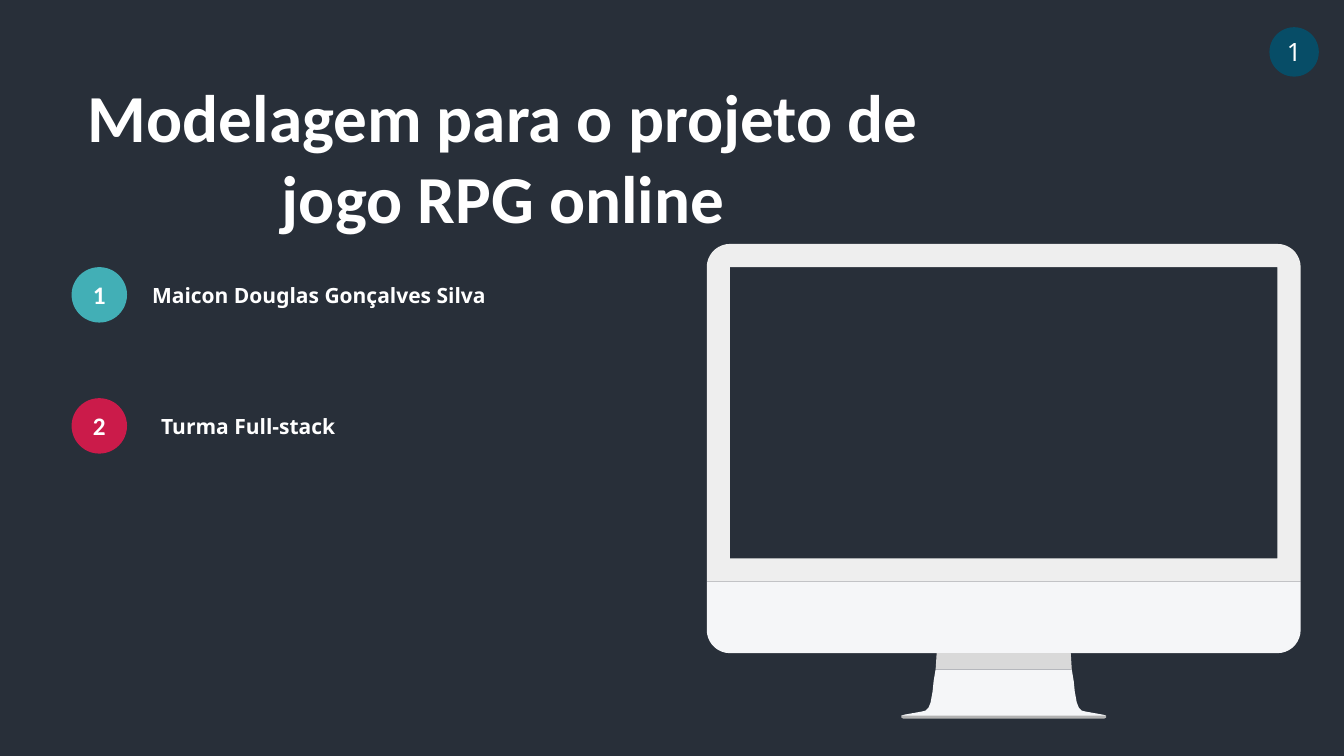
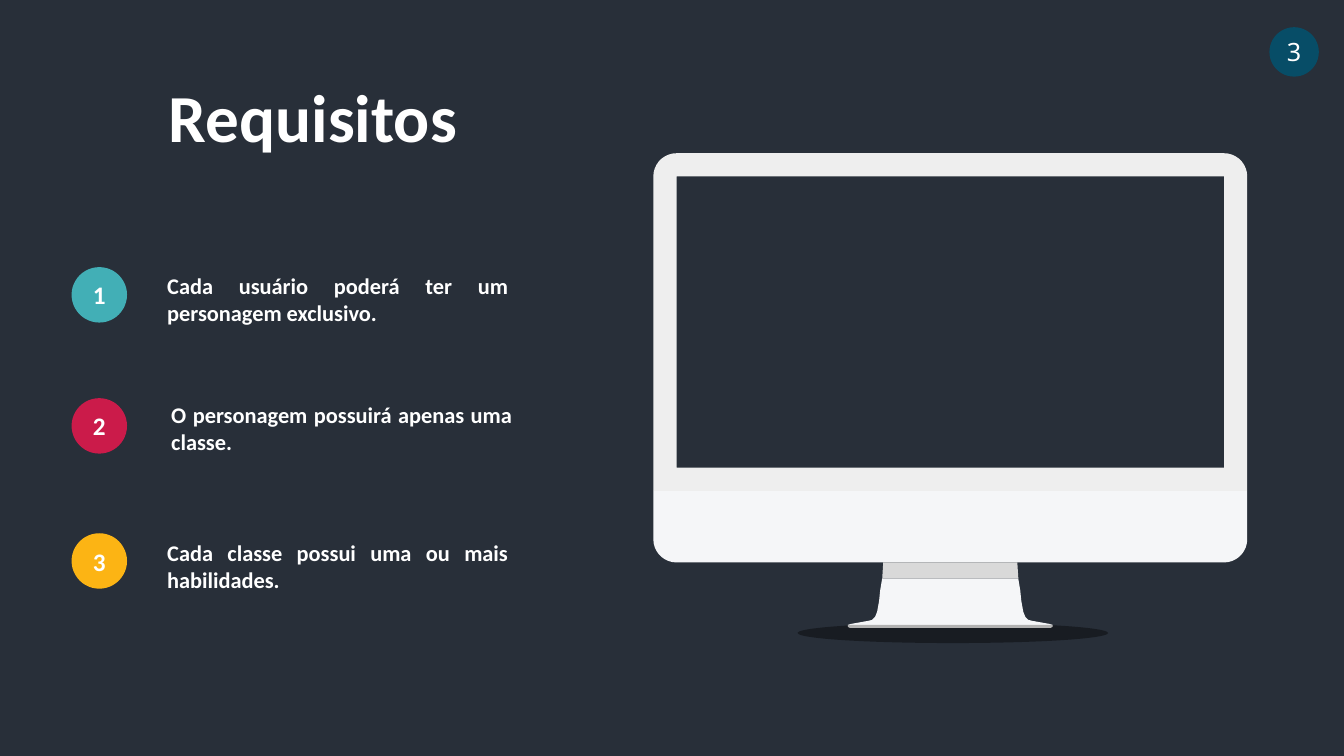
from math import cos, sin, radians
from pptx import Presentation
from pptx.util import Inches, Pt
from pptx.dml.color import RGBColor
from pptx.enum.shapes import MSO_SHAPE
from pptx.enum.text import PP_ALIGN, MSO_ANCHOR, MSO_AUTO_SIZE
from pptx.oxml.ns import qn
from lxml import etree

NAVY = RGBColor(0x28, 0x2F, 0x39)
WHITE = RGBColor(0xFF, 0xFF, 0xFF)
BLACK = RGBColor(0, 0, 0)
TEAL = RGBColor(0x42, 0xAF, 0xB6)
RED = RGBColor(0xCB, 0x1B, 0x4A)
GOLD = RGBColor(0xFC, 0xB4, 0x14)
BLUE = RGBColor(0x07, 0x4D, 0x67)
FRAME = RGBColor(0xEE, 0xEE, 0xEE)
PALE = RGBColor(0xF5, 0xF6, 0xF8)
NECK = RGBColor(0xD9, 0xD9, 0xD9)
FOOT = RGBColor(0xB2, 0xB2, 0xB2)

TITLE = {"name": "Calibri", "size": Pt(48), "bold": True}
NUMBER = {"name": "Calibri", "size": Pt(18), "bold": True}
PAGE = {"name": "Noto Sans", "size": Pt(18), "bold": False}
NAMES = {"name": "Noto Sans", "size": Pt(15), "bold": True}
NEEDS = {"name": "Calibri", "size": Pt(16), "bold": True}

WIDE, TALL, CHIN, BEND = 5.89, 3.35, 4.06, 0.23


def write(shape, text, style, align):
    para = shape.text_frame.paragraphs[0]
    para.alignment = align
    run = para.add_run()
    run.text = text
    for key, value in style.items():
        setattr(run.font, key, value)
    run.font.color.rgb = WHITE


def paint(shape, color):
    shape.shadow.inherit = False
    shape.fill.solid()
    shape.fill.fore_color.rgb = color
    shape.line.fill.background()


corners = {}
for name, x, y, start in [("top left", BEND, BEND, 180),
                          ("top right", WIDE - BEND, BEND, 270),
                          ("low right", WIDE - BEND, CHIN - BEND, 0),
                          ("low left", BEND, CHIN - BEND, 90)]:
    turns = [radians(start + 10 * step) for step in range(10)]
    corners[name] = [(x + BEND * cos(t), y + BEND * sin(t)) for t in turns]

bezel = corners["top left"] + corners["top right"] + [(WIDE, TALL), (0, TALL)]
screen = [(0.23, 0.23), (0.23, 3.12), (5.66, 3.12), (5.66, 0.23)]
chin = [(0, TALL), (WIDE, TALL)] + corners["low right"] + corners["low left"]
curve = [(3.62, 4.22), (3.64, 4.34), (3.65, 4.44), (3.67, 4.55), (3.69, 4.6),
         (3.72, 4.63), (3.76, 4.64), (3.93, 4.67), (3.96, 4.68), (3.95, 4.69)]
halves = [([(3.61, CHIN), (3.62, 4.22)], NECK),
          (curve, PALE),
          ([(3.96, 4.68), (3.96, 4.7), (3.94, 4.71)], FOOT)]
parts = [([chin], PALE), ([bezel, screen], FRAME)]
for half, color in halves:
    parts.append(([half + [(WIDE - x, y) for x, y in reversed(half)]], color))

slides = [
    {"title": "Modelagem para o projeto de jogo RPG online",
     "size": (8.52, 1.72), "page": "1", "screen": (7.01, 2.42),
     "shade": False, "style": NAMES, "high": 0.35,
     "items": [("Maicon Douglas Gonçalves Silva", 1.41, 2.75),
               ("Turma Full-stack", 1.5, 4.05)]},
    {"title": "Requisitos",
     "size": (4.75, 0.91), "page": "3", "screen": (6.48, 1.52),
     "shade": True, "style": NEEDS, "high": 0.64,
     "items": [("Cada usuário poderá ter um personagem exclusivo.", 1.56, 2.65),
               ("O personagem possuirá apenas uma classe.", 1.6, 3.93),
               ("Cada classe possui uma ou mais habilidades.", 1.56, 5.3)]},
]
dots = [(TEAL, 2.65), (RED, 3.95), (GOLD, 5.29)]

deck = Presentation()
deck.slide_width, deck.slide_height = Inches(13.33), Inches(7.5)

for data in slides:
    slide = deck.slides.add_slide(deck.slide_layouts[6])
    slide.background.fill.solid()
    slide.background.fill.fore_color.rgb = NAVY
    shapes = slide.shapes

    if data["shade"]:
        shade = shapes.add_shape(MSO_SHAPE.OVAL, Inches(7.91), Inches(6.18),
                                 Inches(3.08), Inches(0.2))
        paint(shade, BLACK)
        tone = shade.fill._xPr.find(qn("a:solidFill"))[0]
        etree.SubElement(tone, qn("a:alpha"), val="40000")

    left, top = data["screen"]
    for loops, color in parts:
        paths = [[(Inches(left + x), Inches(top + y)) for x, y in loop]
                 for loop in loops]
        form = shapes.build_freeform(*paths[0][0])
        form.add_line_segments(paths[0][1:], close=True)
        for path in paths[1:]:
            form.move_to(*path[0])
            form.add_line_segments(path[1:], close=True)
        paint(form.convert_to_shape(), color)

    wide, high = data["size"]
    texts = [(data["title"], 0.73, 0.7, wide, high, TITLE, PP_ALIGN.CENTER)]
    for text, x, y in data["items"]:
        texts.append((text, x, y, 3.58, data["high"], data["style"],
                      PP_ALIGN.JUSTIFY))
    for text, x, y, wide, high, style, align in texts:
        box = shapes.add_textbox(Inches(x), Inches(y), Inches(wide), Inches(high))
        box.text_frame.word_wrap = True
        box.text_frame.auto_size = MSO_AUTO_SIZE.SHAPE_TO_FIT_TEXT
        write(box, text, style, align)

    discs = [(str(rank), 0.71, y, 0.55, color, NUMBER)
             for rank, (color, y) in enumerate(dots[:len(data["items"])], 1)]
    discs.append((data["page"], 12.59, 0.27, 0.49, BLUE, PAGE))
    for text, x, y, size, color, style in discs:
        disc = shapes.add_shape(MSO_SHAPE.OVAL, Inches(x), Inches(y),
                                Inches(size), Inches(size))
        paint(disc, color)
        disc.text_frame.word_wrap = style is NUMBER
        disc.text_frame.vertical_anchor = MSO_ANCHOR.MIDDLE
        write(disc, text, style, PP_ALIGN.CENTER)

deck.save("out.pptx")
